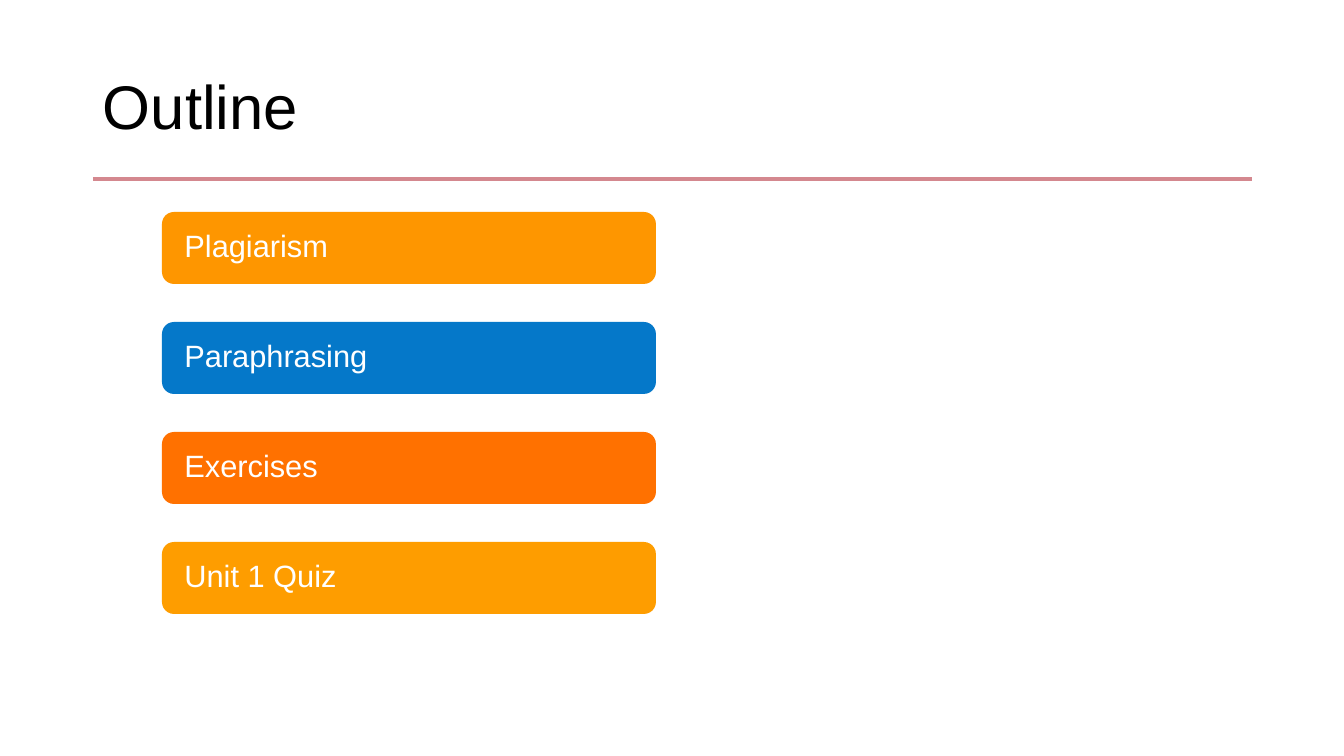
from dataclasses import dataclass

from lxml.etree import SubElement
from pptx import Presentation
from pptx.dml.color import RGBColor
from pptx.enum.shapes import MSO_CONNECTOR, MSO_SHAPE
from pptx.enum.text import MSO_ANCHOR, PP_ALIGN
from pptx.oxml.ns import qn
from pptx.shapes.autoshape import Shape
from pptx.slide import Slide
from pptx.util import Emu, Pt

SCALE = 9071.43
HUES = {
    "white": "FFFFFF",
    "black": "000000",
    "rose": "D4888F",
    "amber": "FE9600",
    "blue": "0578C9",
    "orange": "FF7100",
    "gold": "FE9D00",
}
LEFT, TOP, WIDTH, HEIGHT, PITCH = 162, 212, 494, 72, 110


@dataclass(frozen=True)
class Topic:
    name: str
    hue: str


TOPICS = [
    Topic("Plagiarism", "amber"),
    Topic("Paraphrasing", "blue"),
    Topic("Exercises", "orange"),
    Topic("Unit 1 Quiz", "gold"),
]


def px(size: int) -> Emu:
    return Emu(round(size * SCALE))


def tint(hue: str) -> RGBColor:
    return RGBColor.from_string(HUES[hue])


def write(shape: Shape, text: str, size: int, hue: str, inset: int) -> None:
    frame = shape.text_frame
    frame.text = text
    line = frame.paragraphs[0]
    font = line.runs[0].font
    font.color.rgb = tint(hue)
    styles = [
        (frame, {
            "word_wrap": True,
            "vertical_anchor": MSO_ANCHOR.MIDDLE,
            "margin_left": px(inset),
            "margin_right": px(inset),
            "margin_top": 0,
            "margin_bottom": 0,
        }),
        (line, {"alignment": PP_ALIGN.LEFT, "line_spacing": 0.9}),
        (font, {"name": "Arial", "size": Pt(size)}),
    ]
    for item, style in styles:
        for key, value in style.items():
            setattr(item, key, value)


def draw_rule(slide: Slide) -> None:
    rule = slide.shapes.add_connector(
        MSO_CONNECTOR.STRAIGHT, px(93), px(179), px(1252), px(179)
    )
    rule.line.color.rgb = tint("rose")
    rule.line.width = Pt(3)
    SubElement(rule._element.spPr, qn("a:effectLst"))


def draw_title(slide: Slide) -> None:
    title = slide.shapes.add_textbox(px(93), px(40), px(1159), px(139))
    write(title, "Outline", 44, "black", 10)


def draw_topic(slide: Slide, topic: Topic, row: int) -> None:
    bar = slide.shapes.add_shape(
        MSO_SHAPE.ROUNDED_RECTANGLE,
        px(LEFT), px(TOP + row * PITCH), px(WIDTH), px(HEIGHT),
    )
    bar.shadow.inherit = False
    bar.fill.solid()
    bar.fill.fore_color.rgb = tint(topic.hue)
    bar.line.fill.background()
    write(bar, topic.name, 22, "white", 19)


def main() -> None:
    deck = Presentation()
    deck.slide_width, deck.slide_height = px(1344), px(756)
    slide = deck.slides.add_slide(deck.slide_layouts[6])
    draw_rule(slide)
    draw_title(slide)
    for row, topic in enumerate(TOPICS):
        draw_topic(slide, topic, row)
    deck.save("out.pptx")


if __name__ == "__main__":
    main()
